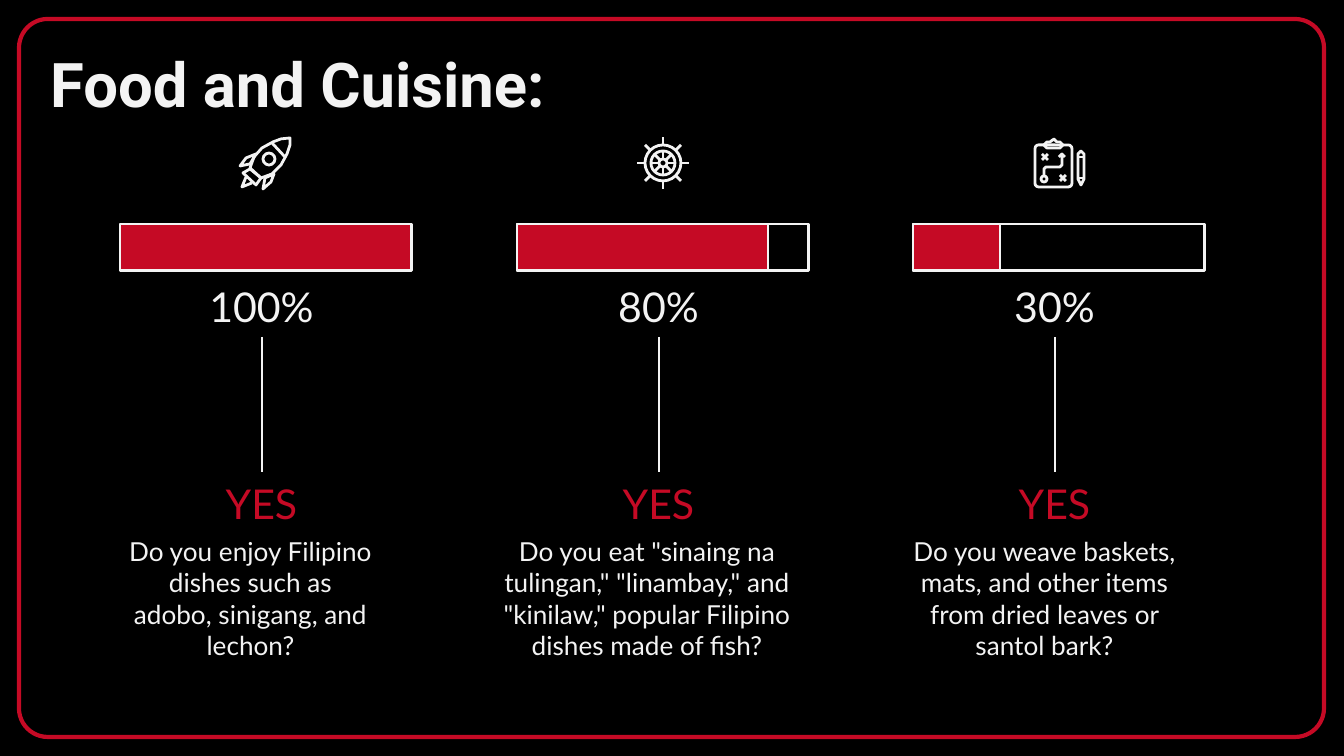
import math
from dataclasses import dataclass

from lxml import etree
from pptx import Presentation
from pptx.dml.color import RGBColor
from pptx.enum.shapes import MSO_CONNECTOR, MSO_SHAPE
from pptx.enum.text import MSO_ANCHOR, PP_ALIGN
from pptx.oxml.ns import qn
from pptx.util import Pt

STRAIGHT = MSO_CONNECTOR.STRAIGHT
RECT, ROUND_RECT, OVAL = MSO_SHAPE.RECTANGLE, MSO_SHAPE.ROUNDED_RECTANGLE, MSO_SHAPE.OVAL
TOP, MIDDLE = MSO_ANCHOR.TOP, MSO_ANCHOR.MIDDLE
LEFT, CENTER = PP_ALIGN.LEFT, PP_ALIGN.CENTER

BLACK = RGBColor(0x00, 0x00, 0x00)
RED = RGBColor(0xC5, 0x0A, 0x25)
WHITE = RGBColor(0xF3, 0xF3, 0xF3)

EMU_PER_PX = 914400 / 134.4
BAR_WIDTH, BAR_HEIGHT, BAR_TOP = 292, 47, 224
LABEL_WIDTH, LABEL_HEIGHT = 271, 62
ICON_TOP, ICON_CENTER = 136, 27

Point = tuple[int, int]


@dataclass(frozen=True)
class Box:
    x: int
    y: int
    width: int
    height: int


@dataclass(frozen=True)
class Stroke:
    points: list[Point]
    closed: bool = False


@dataclass(frozen=True)
class Outline:
    preset: MSO_SHAPE
    box: Box


@dataclass(frozen=True)
class Icon:
    outlines: list[Outline]
    strokes: list[Stroke]


@dataclass(frozen=True)
class Question:
    axis: int
    percent: str
    filled: int
    text: str
    text_left: int
    text_width: int
    icon: Icon
    icon_left: int


def emu(px: int) -> int:
    return round(px * EMU_PER_PX)


def ring(x: int, y: int, radius: int) -> Outline:
    return Outline(OVAL, Box(x - radius, y - radius, 2 * radius, 2 * radius))


def spokes(inner: int, outer: int) -> list[Stroke]:
    """Eight equally spaced spokes around the icon centre."""
    def at(radius: int, turn: int) -> Point:
        angle = turn * math.pi / 4
        return (round(ICON_CENTER + radius * math.cos(angle)),
                round(ICON_CENTER + radius * math.sin(angle)))
    return [Stroke([at(inner, turn), at(outer, turn)]) for turn in range(8)]


def cross(x: int, y: int) -> list[Stroke]:
    return [Stroke([(x - 3, y - 3 * slope), (x + 3, y + 3 * slope)]) for slope in (1, -1)]


ROCKET = Icon([ring(31, 23, 6)], [
    Stroke([(52, 2), (43, 3), (35, 6), (24, 12), (16, 21), (12, 32), (23, 42),
            (34, 38), (43, 29), (49, 18), (52, 9)], True),
    Stroke([(34, 7), (47, 21)]),
    Stroke([(12, 33), (5, 37), (18, 49), (23, 42)], True),
    Stroke([(18, 18), (8, 22), (2, 30), (12, 28)], True),
    Stroke([(36, 38), (33, 46), (25, 53), (27, 42)], True),
    Stroke([(8, 41), (4, 51), (14, 47)]),
])
SHIP_WHEEL = Icon([ring(ICON_CENTER, ICON_CENTER, radius) for radius in (18, 12, 4)],
                  spokes(19, 26) + spokes(4, 12))
GAME_PLAN = Icon([Outline(ROUND_RECT, Box(1, 9, 37, 42)), ring(10, 43, 3)], [
    Stroke([(10, 9), (13, 12), (26, 12), (29, 9), (26, 6), (23, 6), (20, 3),
            (16, 6), (13, 6)], True),
    *cross(11, 21), *cross(29, 42),
    Stroke([(10, 40), (10, 33), (12, 31), (26, 31), (28, 29), (28, 18)]),
    Stroke([(25, 21), (28, 18), (31, 21)]),
    Stroke([(44, 18), (47, 15), (50, 18), (50, 43), (47, 49), (44, 43)], True),
    Stroke([(44, 21), (50, 21)]),
    Stroke([(44, 42), (50, 42)]),
])

QUESTIONS = [
    Question(262, "100%", 292, "Do you enjoy Filipino dishes such as adobo, sinigang, and lechon?",
             115, 271, ROCKET, 238),
    Question(659, "80%", 251, 'Do you eat "sinaing na tulingan," "linambay," and "kinilaw," '
             "popular Filipino dishes made of fish?", 473, 348, SHIP_WHEEL, 636),
    Question(1055, "30%", 87, "Do you weave baskets, mats, and other items from dried leaves "
             "or santol bark?", 884, 321, GAME_PLAN, 1034),
]


def style(shape, line: RGBColor, width: float, fill: RGBColor | None = None) -> None:
    shape.shadow.inherit = False
    if fill is None:
        shape.fill.background()
    else:
        shape.fill.solid()
        shape.fill.fore_color.rgb = fill
    shape.line.color.rgb = line
    shape.line.width = Pt(width)


def add_preset(slide, preset: MSO_SHAPE, box: Box, line: RGBColor, width: float = 1.5,
               fill: RGBColor | None = None):
    shape = slide.shapes.add_shape(preset, emu(box.x), emu(box.y), emu(box.width), emu(box.height))
    style(shape, line, width, fill)
    return shape


def add_line(slide, start: Point, end: Point) -> None:
    line = slide.shapes.add_connector(STRAIGHT, *map(emu, start + end))
    line.line.color.rgb = WHITE
    line.line.width = Pt(1.5)
    etree.SubElement(line._element.spPr, qn("a:effectLst"))


def add_text(slide, text: str, box: Box, size: int, color: RGBColor = WHITE, font: str = "Lato",
             bold: bool = False, align: PP_ALIGN = CENTER, anchor: MSO_ANCHOR = TOP) -> None:
    frame = slide.shapes.add_textbox(
        emu(box.x), emu(box.y), emu(box.width), emu(box.height)).text_frame
    frame.word_wrap = True
    frame.vertical_anchor = anchor
    frame.margin_left = frame.margin_right = frame.margin_top = frame.margin_bottom = Pt(7.2)
    paragraph = frame.paragraphs[0]
    paragraph.text = text
    paragraph.alignment = align
    paragraph.font.name = font
    paragraph.font.size = Pt(size)
    paragraph.font.bold = bold
    paragraph.font.color.rgb = color


def add_icon(slide, icon: Icon, left: int, top: int) -> None:
    """Draw the outlines, then all strokes as one freeform."""
    for outline in icon.outlines:
        box = outline.box
        shape = add_preset(slide, outline.preset,
                           Box(left + box.x, top + box.y, box.width, box.height), WHITE)
        if outline.preset == ROUND_RECT:
            shape.adjustments[0] = 0.1
    builder = slide.shapes.build_freeform(*icon.strokes[0].points[0], scale=EMU_PER_PX)
    for index, stroke in enumerate(icon.strokes):
        if index:
            builder.move_to(*stroke.points[0])
        builder.add_line_segments(stroke.points[1:], close=stroke.closed)
    style(builder.convert_to_shape(emu(left), emu(top)), WHITE, 1.5)


def add_question(slide, question: Question) -> None:
    axis = question.axis
    add_icon(slide, question.icon, question.icon_left, ICON_TOP)
    for width, fill in ((BAR_WIDTH, None), (question.filled, RED)):
        if fill is None and question.filled == BAR_WIDTH:
            continue
        add_preset(slide, RECT, Box(axis - 142, BAR_TOP, width, BAR_HEIGHT), WHITE, fill=fill)
    add_line(slide, (axis, 337), (axis, 472))
    for label, top, color in ((question.percent, 275, WHITE), ("YES", 472, RED)):
        add_text(slide, label, Box(axis - 136, top, LABEL_WIDTH, LABEL_HEIGHT), 22, color,
                 anchor=MIDDLE)
    add_text(slide, question.text, Box(question.text_left, 522, question.text_width, 85), 14)


def main() -> None:
    presentation = Presentation()
    presentation.slide_width, presentation.slide_height = emu(1344), emu(756)
    slide = presentation.slides.add_slide(presentation.slide_layouts[6])
    slide.background.fill.solid()
    slide.background.fill.fore_color.rgb = BLACK

    border = add_preset(slide, ROUND_RECT, Box(19, 19, 1305, 718), RED, 2.25)
    border.adjustments[0] = 0.04
    add_text(slide, "Food and Cuisine:", Box(37, 33, 1133, 85), 33, font="Roboto",
             bold=True, align=LEFT)
    for question in QUESTIONS:
        add_question(slide, question)
    presentation.save("out.pptx")


if __name__ == "__main__":
    main()
